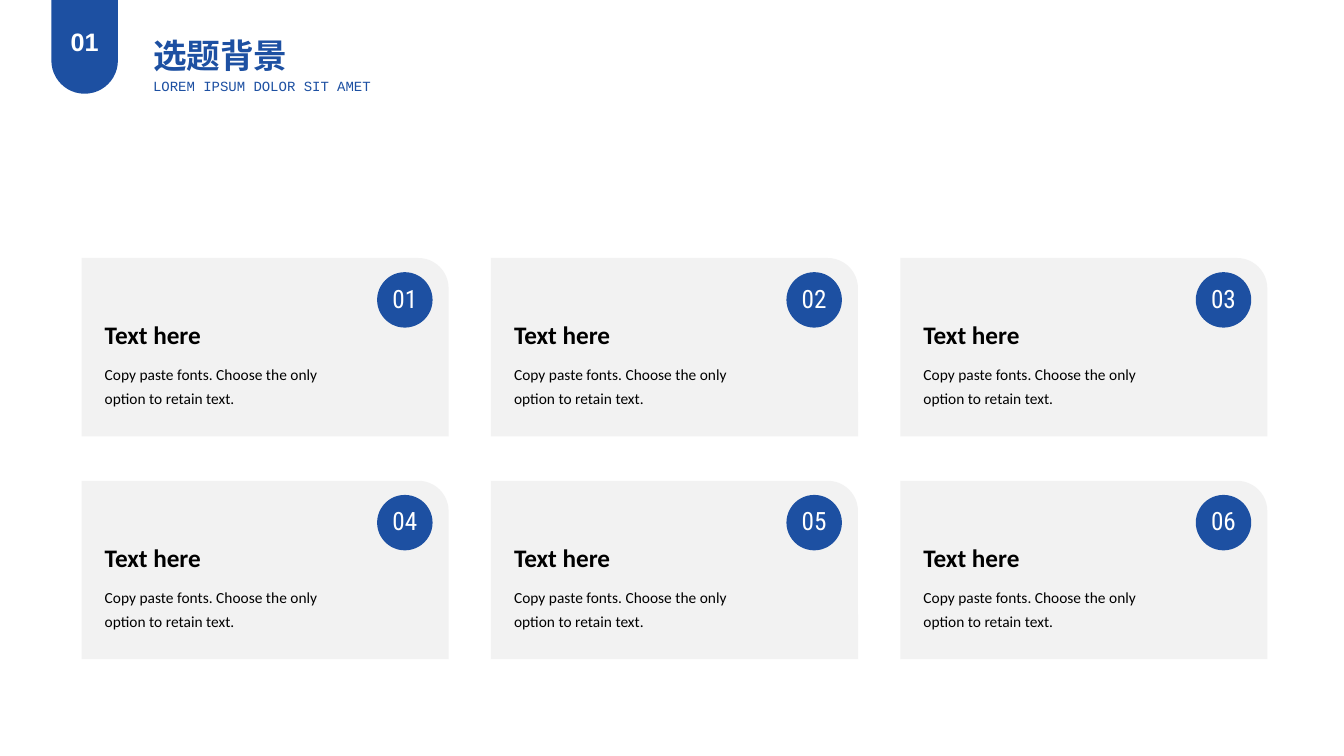
from dataclasses import dataclass

from pptx import Presentation
from pptx.dml.color import RGBColor
from pptx.enum.shapes import MSO_SHAPE as Shape
from pptx.enum.text import MSO_ANCHOR as Anchor, MSO_AUTO_SIZE as AutoSize, PP_ALIGN as Align
from pptx.util import Inches, Pt


@dataclass(frozen=True)
class Theme:
    blue: str = "1D50A2"
    panel: str = "F2F2F2"
    white: str = "FFFFFF"
    black: str = "000000"
    sans: str = "Arial"
    body: str = "Calibri"
    mono: str = "Courier New"
    digits: str = "Roboto Condensed"
    title_size: int = 24
    head_size: int = 18
    body_size: int = 11
    small_size: int = 10


T = Theme()
COLUMNS = 3
CARD_W, CARD_H = 3.64, 1.77
CARDS_LEFT, CARDS_TOP = 0.81, 2.56
STEP_X, STEP_Y = 4.06, 2.21
CARDS = [("Text here", "Copy paste fonts. Choose the only option to retain text.")] * 6


def write(sp, text, *, font, size, color, bold=False, align=Align.LEFT,
          anchor=Anchor.TOP, spacing=1.0, wrap=True):
    tf = sp.text_frame
    tf.auto_size = AutoSize.NONE
    tf.word_wrap = wrap
    tf.vertical_anchor = anchor
    tf.margin_left = tf.margin_right = Inches(0.1)
    tf.margin_top = tf.margin_bottom = Inches(0.05)
    p = tf.paragraphs[0]
    p.alignment = align
    p.line_spacing = spacing
    r = p.add_run()
    r.text = text
    r.font.name = font
    r.font.size = Pt(size)
    r.font.bold = bold
    r.font.color.rgb = RGBColor.from_string(color)


def add_block(s, kind, x, y, w, h, fill):
    sp = s.shapes.add_shape(kind, Inches(x), Inches(y), Inches(w), Inches(h))
    sp.shadow.inherit = False
    sp.fill.solid()
    sp.fill.fore_color.rgb = RGBColor.from_string(fill)
    sp.line.fill.background()
    return sp


def add_text(s, x, y, w, h, text, **fmt):
    sp = s.shapes.add_textbox(Inches(x), Inches(y), Inches(w), Inches(h))
    write(sp, text, **fmt)


def add_header(s, number, title, subtitle):
    tab = add_block(s, Shape.ROUND_2_SAME_RECTANGLE, 0.51, -0.02, 0.66, 0.95, T.blue)
    tab.adjustments[0], tab.adjustments[1] = 0, 0.5
    write(tab, number, font=T.sans, size=T.head_size, color=T.white, bold=True,
          align=Align.CENTER, anchor=Anchor.MIDDLE, wrap=False)
    sp = s.shapes.title
    sp.left, sp.top, sp.width, sp.height = map(Inches, (1.41, 0.3, 1.55, 0.5))
    write(sp, title, font=T.sans, size=T.title_size, color=T.blue, bold=True,
          align=Align.CENTER, wrap=False)
    add_text(s, 1.42, 0.72, 2.4, 0.27, subtitle,
             font=T.mono, size=T.small_size, color=T.blue)


def add_card(s, x, y, number, heading, text):
    panel = add_block(s, Shape.ROUND_1_RECTANGLE, x, y, CARD_W, CARD_H, T.panel)
    panel.adjustments[0] = 0.17
    badge = add_block(s, Shape.OVAL, x + 2.93, y + 0.14, 0.55, 0.55, T.blue)
    write(badge, number, font=T.digits, size=T.head_size, color=T.white,
          align=Align.CENTER, anchor=Anchor.MIDDLE, spacing=0.9, wrap=False)
    add_text(s, x + 0.13, y + 0.54, 2.69, 0.42, heading, font=T.body,
             size=T.head_size, color=T.black, bold=True, anchor=Anchor.BOTTOM)
    add_text(s, x + 0.13, y + 0.96, 2.69, 0.61, text, font=T.body,
             size=T.body_size, color=T.black, spacing=1.3)


def main():
    prs = Presentation()
    prs.slide_width, prs.slide_height = Inches(13.33), Inches(7.5)
    s = prs.slides.add_slide(prs.slide_layouts[5])
    add_header(s, "01", "选题背景", "LOREM IPSUM DOLOR SIT AMET")
    for i, (heading, text) in enumerate(CARDS):
        row, col = divmod(i, COLUMNS)
        add_card(s, CARDS_LEFT + col * STEP_X, CARDS_TOP + row * STEP_Y,
                 f"{i + 1:02d}", heading, text)
    prs.save("out.pptx")


if __name__ == "__main__":
    main()
